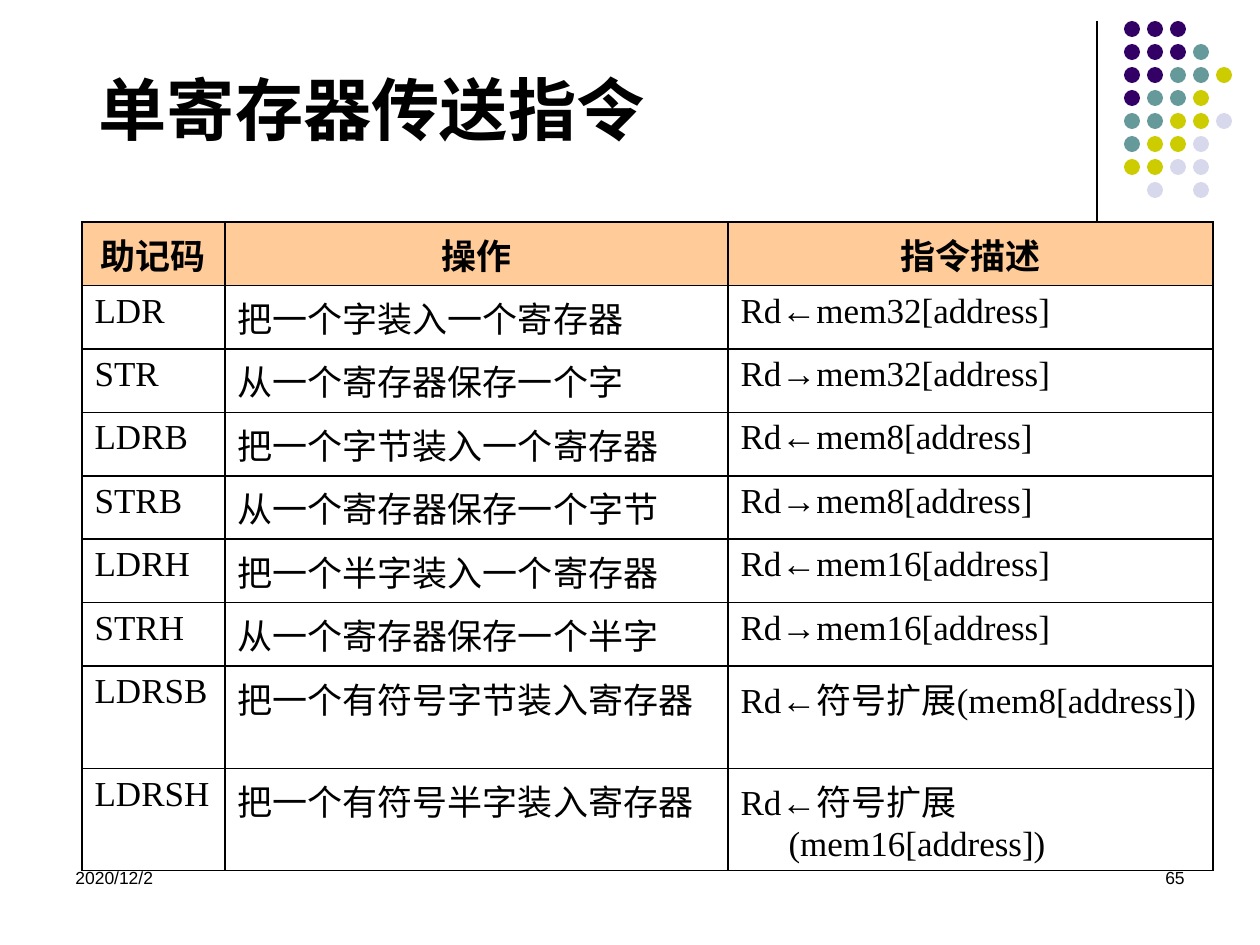
from pptx import Presentation
from pptx import util as u
from pptx.dml.color import RGBColor
from pptx.enum import shapes, text
from pptx.oxml.ns import qn
from lxml import etree

PX = 914400 // 126
BLACK = RGBColor(0, 0, 0)
PEACH = RGBColor(0xFF, 0xCC, 0x99)
TONES = {"p": RGBColor(0x33, 0, 0x66), "t": RGBColor(0x66, 0x99, 0x99),
         "y": RGBColor(0xCC, 0xCC, 0), "l": RGBColor(0xD8, 0xD8, 0xEC)}
SERIF, SANS = "Times New Roman", "Arial"

# Content
TITLE = "单寄存器传送指令"
DOTS = ["ppp", "pppt", "pptty", "ptty", "ttyyl", "tyyl", "yyll", " l l"]
ROWS = [
    ("助记码", "操作", "指令描述"),
    ("LDR", "把一个字装入一个寄存器", "Rd←mem32[address]"),
    ("STR", "从一个寄存器保存一个字", "Rd→mem32[address]"),
    ("LDRB", "把一个字节装入一个寄存器", "Rd←mem8[address]"),
    ("STRB", "从一个寄存器保存一个字节", "Rd→mem8[address]"),
    ("LDRH", "把一个半字装入一个寄存器", "Rd←mem16[address]"),
    ("STRH", "从一个寄存器保存一个半字", "Rd→mem16[address]"),
    ("LDRSB", "把一个有符号字节装入寄存器", "Rd←符号扩展(mem8[address])"),
    ("LDRSH", "把一个有符号半字装入寄存器", "Rd←符号扩展(mem16[address])"),
]
WIDTHS = [143, 503, 485]
HEIGHTS = [55] * 7 + [89, 97]
FOOT = [("2020/12/2", 63, text.PP_ALIGN.LEFT),
        ("65", 903, text.PP_ALIGN.RIGHT)]


def px(*vals):
    return [v * PX for v in vals]


def style(para, size, face, bold, align):
    para.alignment = align
    look = {"size": u.Pt(size), "name": face, "bold": bold}
    for key, val in look.items():
        setattr(para.font, key, val)
    para.font.color.rgb = BLACK


def border(cell):
    props = cell._tc.get_or_add_tcPr()
    for i, side in enumerate(("lnL", "lnR", "lnT", "lnB")):
        line = etree.Element(qn("a:" + side), w=str(u.Pt(1)))
        fill = etree.SubElement(line, qn("a:solidFill"))
        etree.SubElement(fill, qn("a:srgbClr"), val=str(BLACK))
        props.insert(i, line)


prs = Presentation()
prs.slide_width, prs.slide_height = px(1260, 945)
slide = prs.slides.add_slide(prs.slide_layouts[5])
parts = slide.shapes

# Corner rule and dots
rule = parts.add_connector(shapes.MSO_CONNECTOR.STRAIGHT, *px(1097, 21, 1097, 231))
rule.line.color.rgb = BLACK
rule.line.width = u.Pt(0.75)
etree.SubElement(rule._element.spPr, qn("a:effectLst"))
group = parts.add_group_shape()
for r, row in enumerate(DOTS):
    for c, tone in enumerate(row):
        if tone == " ":
            continue
        dot = group.shapes.add_shape(shapes.MSO_SHAPE.OVAL,
                                     *px(1124 + 23 * c, 21 + 23 * r, 16, 16))
        dot.shadow.inherit = False
        dot.fill.solid()
        dot.fill.fore_color.rgb = TONES[tone]
        dot.line.fill.background()

# Title
title = parts.title
title.left, title.top, title.width, title.height = px(86, 50, 971, 105)
title.text_frame.text = TITLE
title.text_frame.vertical_anchor = text.MSO_ANCHOR.BOTTOM
style(title.text_frame.paragraphs[0], 39, SERIF, True, text.PP_ALIGN.LEFT)

# Instruction table
frame = parts.add_table(len(ROWS), len(WIDTHS),
                        *px(82, 222, sum(WIDTHS), sum(HEIGHTS)))
table = frame.table
table.first_row = table.horz_banding = False
for col, w in zip(table.columns, WIDTHS):
    col.width = w * PX
for r, (row, high) in enumerate(zip(ROWS, HEIGHTS)):
    table.rows[r].height = high * PX
    head = r == 0
    for c, words in enumerate(row):
        cell = table.cell(r, c)
        cell.text = words
        para = cell.text_frame.paragraphs[0]
        props = para._p.get_or_add_pPr()
        props.set("marL", str(48 * PX))
        props.set("indent", str(-48 * PX))
        style(para, 20, SERIF, head,
              text.PP_ALIGN.CENTER if head else text.PP_ALIGN.LEFT)
        if head:
            cell.fill.solid()
            cell.fill.fore_color.rgb = PEACH
        else:
            cell.fill.background()
        border(cell)

# Date and page number
for words, left, align in FOOT:
    box = parts.add_textbox(*px(left, 861, 294, 63))
    box.text_frame.word_wrap = True
    box.text_frame.text = words
    style(box.text_frame.paragraphs[0], 10, SANS, False, align)

prs.save("out.pptx")
